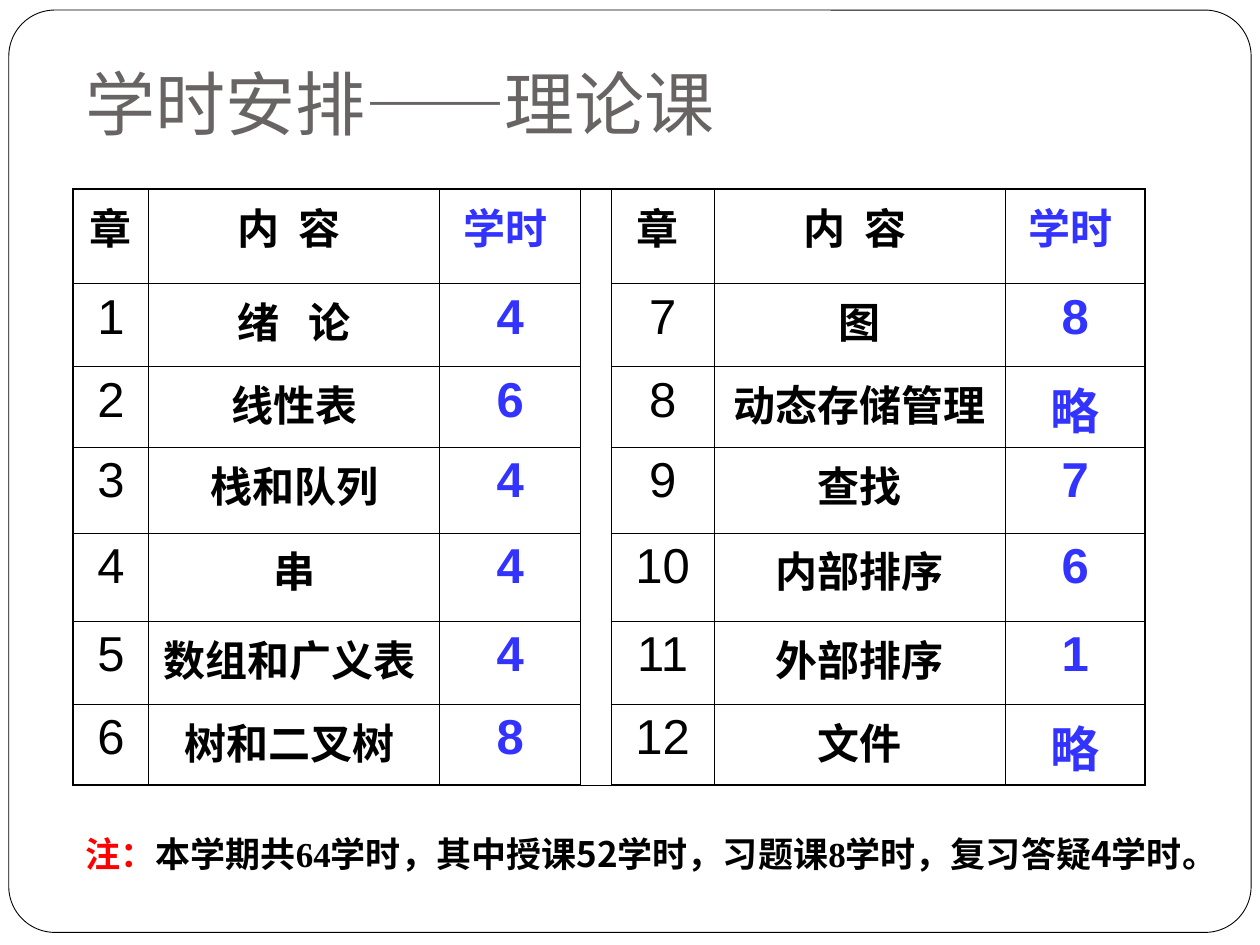
from lxml import etree
from pptx import Presentation
from pptx.dml.color import RGBColor
from pptx.enum.shapes import MSO_SHAPE
from pptx.enum.text import MSO_ANCHOR, PP_ALIGN
from pptx.oxml.ns import qn
from pptx.util import Inches, Pt

ROUNDED = MSO_SHAPE.ROUNDED_RECTANGLE
TOP, BOTTOM = MSO_ANCHOR.TOP, MSO_ANCHOR.BOTTOM
LEFT, CENTER = PP_ALIGN.LEFT, PP_ALIGN.CENTER

CJK = "Noto Sans CJK SC"
SERIF = "Times New Roman"
BLACK, BLUE, RED, GRAY = "000000", "3333FF", "FF0000", "696464"
THIN, THICK = 0.45, 1.08

COLUMN_WIDTHS = [0.6, 2.31, 1.12, 0.24, 0.82, 2.31, 1.11]
ROW_HEIGHTS = [0.75, 0.66, 0.64, 0.68, 0.7, 0.66, 0.64]
GAP_COLUMN = 3

HEADINGS = ["章", "内  容 ", "学时 ", "", "章 ", "内  容 ", "学时 "]
CHAPTERS = [
    ("绪   论", "4"),
    ("线性表", "6"),
    ("栈和队列", "4"),
    ("串", "4"),
    ("数组和广义表 ", "4"),
    ("树和二叉树 ", "8"),
    ("图", "8"),
    ("动态存储管理", "略"),
    ("查找", "7"),
    ("内部排序", "6"),
    ("外部排序", "1"),
    ("文件", "略"),
]

TITLE = {"name": "Karla", "size": Pt(40), "bold": False}
HEADING = {"name": CJK, "size": Pt(24), "bold": True}
NUMBER = {"name": "Arial", "size": Pt(28), "bold": False}
HOURS = {**NUMBER, "bold": True}
NOTE = {"name": CJK, "size": Pt(20), "bold": True}
NOTE_NUMBER = {**NOTE, "name": SERIF}


def color(value):
    return RGBColor.from_string(value)


def set_values(target, values):
    for name, value in values.items():
        setattr(target, name, value)


def add_run(paragraph, text, font_values, text_color):
    run = paragraph.add_run()
    run.text = text
    set_values(run.font, font_values)
    run.font.color.rgb = color(text_color)
    east_asian = etree.SubElement(run.font._element, qn("a:ea"))
    east_asian.set("typeface", CJK)


def add_text(slide, box, runs, frame_values, space_before=0):
    frame = slide.shapes.add_textbox(*map(Inches, box)).text_frame
    set_values(frame, {"word_wrap": True, **frame_values})
    paragraph = frame.paragraphs[0]
    set_values(paragraph, {"alignment": LEFT, "space_before": Pt(space_before)})
    for run in runs:
        add_run(paragraph, *run)


def add_page_frame(slide):
    frame = slide.shapes.add_shape(ROUNDED, *map(Inches, (0.07, 0.08, 9.86, 7.32)))
    frame.adjustments[0] = 0.05
    frame.shadow.inherit = False
    frame.fill.solid()
    frame.fill.fore_color.rgb = color("FFFFFF")
    frame.line.color.rgb = color(BLACK)
    frame.line.width = Pt(0.51)


def set_borders(cell, widths):
    properties = cell._tc.get_or_add_tcPr()
    for side, width in widths.items():
        line = etree.SubElement(properties, qn(f"a:ln{side}"), w=str(Pt(width)))
        fill = etree.SubElement(line, qn("a:solidFill"))
        etree.SubElement(fill, qn("a:srgbClr"), val=BLACK)


def fill_cell(cell, text, font_values, text_color):
    paragraph = cell.text_frame.paragraphs[0]
    before = Pt(font_values["size"].pt / 4)
    set_values(paragraph, {"alignment": CENTER, "space_before": before})
    add_run(paragraph, text, font_values, text_color)


def schedule_rows():
    half = len(CHAPTERS) // 2
    yield HEADINGS
    for index in range(half):
        left, right = CHAPTERS[index], CHAPTERS[index + half]
        yield [str(index + 1), *left, "", str(index + half + 1), *right]


def add_schedule(slide):
    last_row, last_column = len(ROW_HEIGHTS) - 1, len(COLUMN_WIDTHS) - 1
    box = map(Inches, (0.58, 1.5, sum(COLUMN_WIDTHS), sum(ROW_HEIGHTS)))
    table = slide.shapes.add_table(last_row + 1, last_column + 1, *box).table
    set_values(table, {"first_row": False, "horz_banding": False})
    for column, width in zip(table.columns, COLUMN_WIDTHS):
        column.width = Inches(width)
    for row, height in zip(table.rows, ROW_HEIGHTS):
        row.height = Inches(height)
    table.cell(0, GAP_COLUMN).merge(table.cell(last_row, GAP_COLUMN))

    side_styles = [(NUMBER, BLACK), (HEADING, BLACK), (HOURS, BLUE)]
    styles = [*side_styles, (HEADING, BLACK), *side_styles]
    for r, texts in enumerate(schedule_rows()):
        for c, (text, (font_values, text_color)) in enumerate(zip(texts, styles)):
            cell = table.cell(r, c)
            cell.vertical_anchor = TOP
            set_borders(cell, {
                "L": THICK if c == 0 else THIN,
                "R": THICK if c == last_column else THIN,
                "T": THICK if r == 0 else THIN,
                "B": THICK if r == last_row else THIN,
            })
            cell.fill.background()
            if text:
                fill_cell(cell, text, font_values if r else HEADING, text_color)


def main():
    presentation = Presentation()
    set_values(presentation, {"slide_width": Inches(10), "slide_height": Inches(7.5)})
    slide = presentation.slides.add_slide(presentation.slide_layouts[6])

    add_page_frame(slide)
    add_text(
        slide, (0.58, 0.3, 8.5, 0.95), [("学时安排——理论课", TITLE, GRAY)],
        {"vertical_anchor": BOTTOM, "margin_bottom": Inches(0.1)},
    )
    add_schedule(slide)
    note = [
        ("注：", NOTE, RED),
        ("本学期共", NOTE, BLACK),
        ("64", NOTE_NUMBER, BLACK),
        ("学时，其中授课52学时，习题课", NOTE, BLACK),
        ("8", NOTE_NUMBER, BLACK),
        ("学时，复习答疑4学时。", NOTE, BLACK),
    ]
    add_text(slide, (0.58, 6.56, 8.92, 0.77), note, {"vertical_anchor": TOP}, 12.5)

    presentation.save("out.pptx")


main()
